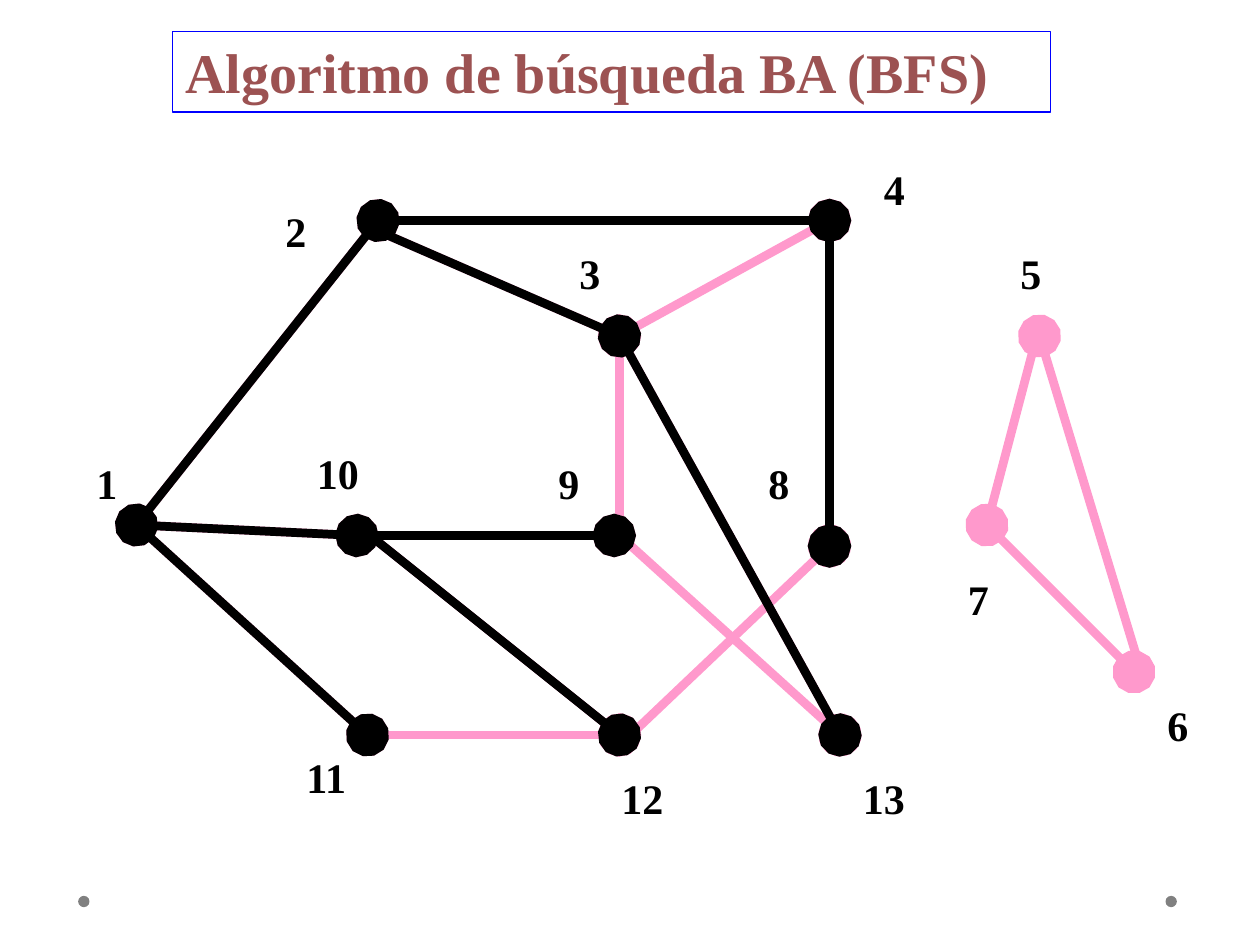
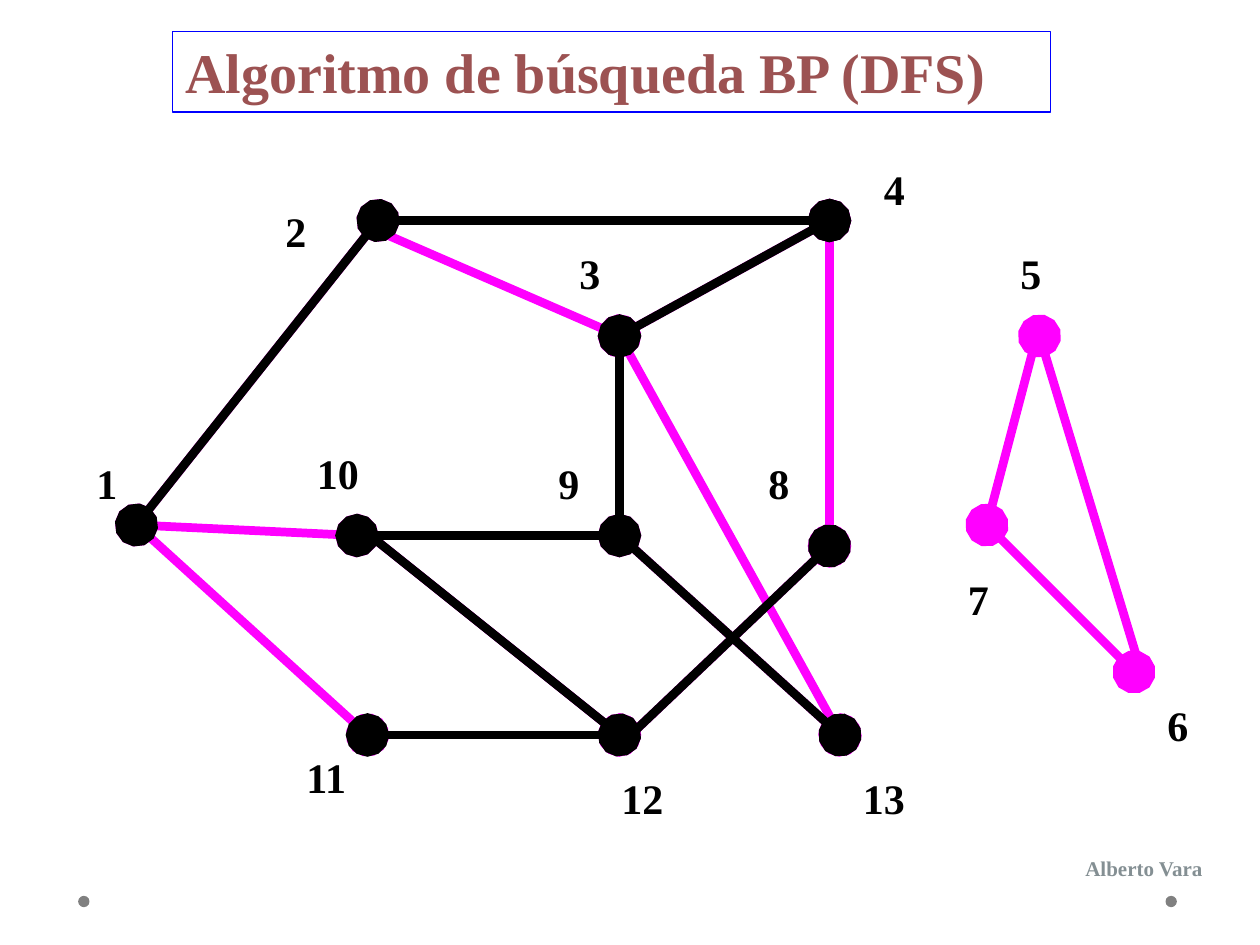
from dataclasses import dataclass

from lxml.etree import SubElement
from pptx import Presentation
from pptx.dml.color import RGBColor as RGB
from pptx.enum.shapes import MSO_CONNECTOR as Line, MSO_SHAPE as Form
from pptx.enum.text import MSO_ANCHOR as Anchor, MSO_AUTO_SIZE as Auto, PP_ALIGN as Align
from pptx.oxml.ns import qn
from pptx.util import Pt


@dataclass(frozen=True)
class Theme:
    face: str = "Times New Roman"
    ink: RGB = RGB(0, 0, 0)
    title: RGB = RGB(0x9C, 0x52, 0x52)
    frame: RGB = RGB(0, 0, 0xFF)
    dot: RGB = RGB(0x80, 0x80, 0x80)
    credit: RGB = RGB(0x84, 0x8F, 0x93)
    pink: RGB = RGB(0xFF, 0x99, 0xCC)
    magenta: RGB = RGB(0xFF, 0, 0xFF)
    big: int = 32
    mid: int = 24
    small: int = 12
    edge: int = 5


T = Theme()

# Node number: centre of the node, top left of its label
NODES = {
    1: ((78, 300), (48, 258)),
    2: ((216, 126), (156, 114)),
    3: ((354, 192), (324, 138)),
    4: ((474, 126), (498, 90)),
    5: ((594, 192), (576, 138)),
    6: ((648, 384), (660, 396)),
    7: ((564, 300), (546, 324)),
    8: ((474, 312), (432, 258)),
    9: ((354, 306), (312, 258)),
    10: ((204, 306), (174, 252)),
    11: ((210, 420), (168, 426)),
    12: ((354, 420), (348, 438)),
    13: ((480, 420), (486, 438)),
}

# The whole graph, lying under the search tree
GRAPH = [(1, 2), (2, 3), (1, 11), (9, 3), (11, 12), (3, 4), (5, 7), (7, 6), (6, 5),
         (3, 13), (9, 13), (4, 8), (10, 12), (12, 8), (1, 10), (10, 9), (2, 4)]

# Offsets of edge starts from their node; the graph has a few more than the trees
NUDGE = {(2, 3): (0, 6), (10, 12): (0, -6), (12, 8): (0, 6),
         (5, 7): (0, -6), (6, 5): (6, 6)}
BASE = NUDGE | {(11, 12): (6, 0), (10, 9): (6, 0), (2, 4): (6, 0)}

# Offsets of edge ends in the breadth-first search
SHIFT = {(10, 9): (-3, 0)}

BFS = [(1, 2), (1, 10), (1, 11), (2, 4), (2, 3), (10, 9), (10, 12), (3, 13), (4, 8)]
DFS = [(1, 2), (2, 4), (3, 4), (9, 3), (9, 13), (9, 10), (10, 12), (12, 11), (12, 8)]


def put(obj, **vals):
    for key, val in vals.items():
        setattr(obj, key, val)


def write(shape, text, size, color, align=Align.LEFT, wrap=False):
    """Fill a text frame with one bold line."""
    frame = shape.text_frame
    put(frame, text=text, word_wrap=wrap, auto_size=Auto.NONE, vertical_anchor=Anchor.TOP)
    para = frame.paragraphs[0]
    para.alignment = align
    font = para.runs[0].font
    put(font, name=T.face, size=Pt(size), bold=True)
    font.color.rgb = color


def label(slide, text, left, top, wide, high, size=T.mid, color=T.ink, align=Align.LEFT):
    box = slide.shapes.add_textbox(Pt(left), Pt(top), Pt(wide), Pt(high))
    write(box, text, size, color, align)


def title(slide, text):
    shape = slide.shapes.title
    put(shape, left=Pt(98.64), top=Pt(18), width=Pt(501.84), height=Pt(46.1))
    write(shape, text, T.big, T.title, wrap=True)
    shape.line.color.rgb = T.frame
    shape.line.width = Pt(0.75)


def link(slide, start, end, color, ends):
    """Draw a thick edge, with a round node at each of the named ends."""
    edge = slide.shapes.add_connector(Line.STRAIGHT, *map(Pt, start + end))
    edge.line.color.rgb = color
    edge.line.width = Pt(T.edge)
    stroke = edge.line._get_or_add_ln()
    for name in ends:
        SubElement(stroke, qn(f"a:{name}"), type="oval", w="lg", len="lg")
    SubElement(edge._element.spPr, qn("a:effectLst"))


def move(spot, step):
    return tuple(a + b for a, b in zip(spot, step))


def net(slide, edges, color, nudge, shift, heads):
    """Draw a set of edges; those in heads also show the node they start from."""
    for pair in edges:
        start = move(NODES[pair[0]][0], nudge.get(pair, (0, 0)))
        end = move(NODES[pair[1]][0], shift.get(pair, (0, 0)))
        link(slide, start, end, color, ["headEnd"] * (pair in heads) + ["tailEnd"])


def dots(slide):
    """Put the two footer dots on the layout that the slides share."""
    tree = slide.slide_layout.shapes._spTree
    for num, left in enumerate((666, 44.64)):
        dot = slide.shapes.add_shape(Form.OVAL, Pt(left), Pt(511.9), Pt(6.5), Pt(6.5))
        dot.shadow.inherit = False
        dot.fill.solid()
        dot.fill.fore_color.rgb = T.dot
        dot.line.fill.background()
        dot._element.nvSpPr.cNvPr.set("id", str(90 + num))
        tree.append(dot._element)


def search(deck, text, color, tree, shift, heads):
    """Make a slide with the graph, its labels and the tree of one search."""
    slide = deck.slides.add_slide(deck.slide_layouts[5])
    title(slide, text)
    net(slide, GRAPH, color, BASE, shift, {(1, 2)})
    for num, (_, (left, top)) in NODES.items():
        label(slide, str(num), left, top, 38.2 if num > 9 else 26.6, 36)
    net(slide, tree, T.ink, NUDGE, shift, heads)
    return slide


def main():
    deck = Presentation()
    put(deck, slide_width=Pt(720), slide_height=Pt(540))

    # Breadth-first search
    slide = search(deck, "Algoritmo de búsqueda BA (BFS)", T.pink, BFS, SHIFT, {(1, 2)})
    dots(slide)

    # Depth-first search
    slide = search(deck, "Algoritmo de búsqueda BP (DFS)", T.magenta, DFS, {},
                   {(1, 2), (9, 3)})
    label(slide, "Alberto Vara", 612.7, 485.3, 82, 21.6, T.small, T.credit, Align.CENTER)

    deck.save("out.pptx")


if __name__ == "__main__":
    main()
